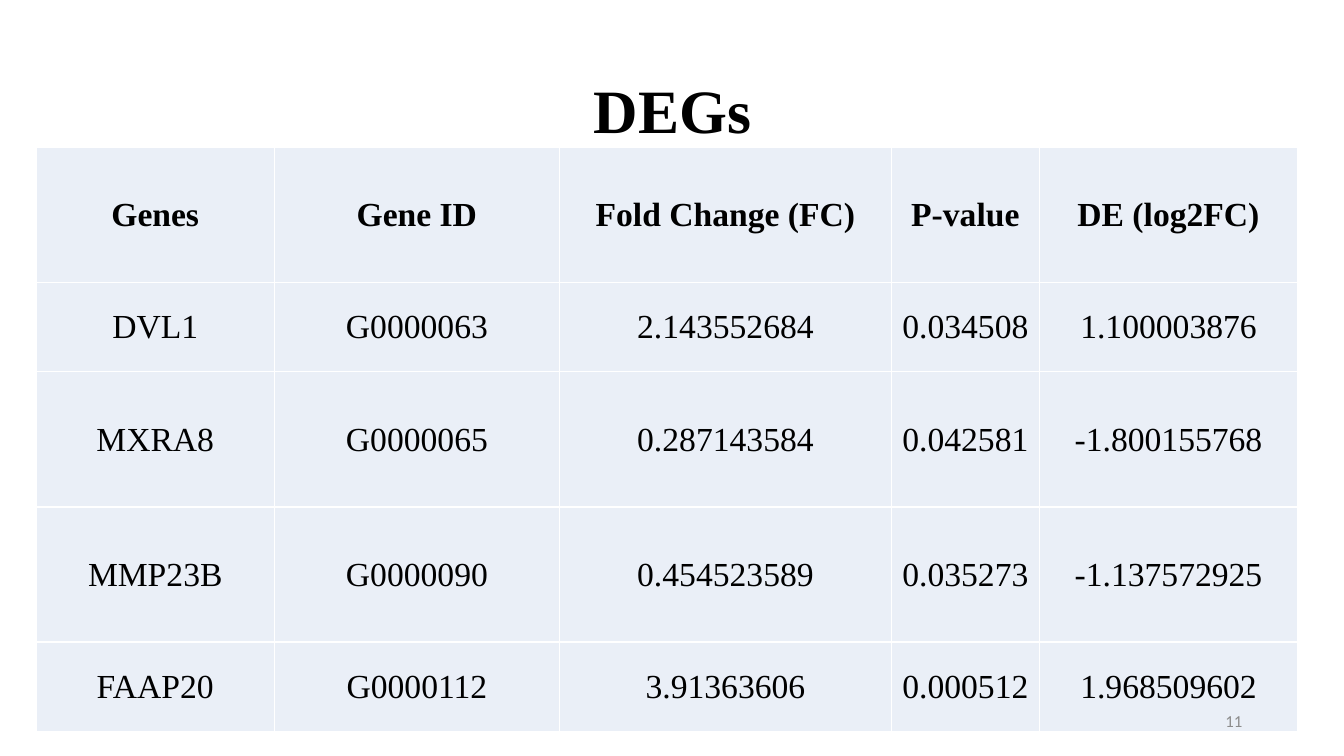
from lxml import etree
from pptx import Presentation
from pptx.dml.color import RGBColor
from pptx.enum.text import MSO_ANCHOR, PP_ALIGN
from pptx.oxml.ns import qn
from pptx.util import Inches, Pt

MIDDLE = MSO_ANCHOR.MIDDLE
CENTER, RIGHT = PP_ALIGN.CENTER, PP_ALIGN.RIGHT
SERIF = "Times New Roman"
CELL_FILL, BORDER = "EAEFF7", "FFFFFF"


def color(value):
    return RGBColor.from_string(value)


def write(frame, text, size, font=SERIF, ink="000000", bold=False, align=CENTER):
    frame.word_wrap = True
    para = frame.paragraphs[0]
    para.alignment = align
    span = para.add_run()
    span.text = text
    span.font.name = font
    span.font.size = Pt(size)
    span.font.bold = bold
    span.font.color.rgb = color(ink)
    return para


deck = Presentation()
deck.slide_width, deck.slide_height = Inches(13.33), Inches(7.5)
page = deck.slides.add_slide(deck.slide_layouts[5])

# Title
title = page.shapes.title
title.left, title.top = Inches(0.92), Inches(0.4)
title.width, title.height = Inches(11.5), Inches(1.45)
title.text_frame.vertical_anchor = MIDDLE
write(title.text_frame, "DEGs", 44, bold=True).line_spacing = 0.9

# Table of differentially expressed genes
genes = [
    ["Genes", "Gene ID", "Fold Change (FC)", "P-value", "DE (log2FC)"],
    ["DVL1", "G0000063", "2.143552684", "0.034508", "1.100003876"],
    ["MXRA8", "G0000065", "0.287143584", "0.042581", "-1.800155768"],
    ["MMP23B", "G0000090", "0.454523589", "0.035273", "-1.137572925"],
    ["FAAP20", "G0000112", "3.91363606", "0.000512", "1.968509602"],
]
column_widths = [2.36, 2.83, 3.29, 1.47, 2.56]
row_heights = [1.34, 0.89, 1.34, 1.34, 0.89]
table = page.shapes.add_table(
    len(row_heights), len(column_widths), Inches(0.36), Inches(1.46),
    Inches(sum(column_widths)), Inches(sum(row_heights))).table
table.horz_banding = False
for column, width in zip(table.columns, column_widths):
    column.width = Inches(width)
for row, height in zip(table.rows, row_heights):
    row.height = Inches(height)

for row_index, values in enumerate(genes):
    for column_index, value in enumerate(values):
        cell = table.cell(row_index, column_index)
        cell.vertical_anchor = MIDDLE
        cell.margin_left = cell.margin_right = cell.margin_top = Inches(0.01)
        cell.margin_bottom = 0
        write(cell.text_frame, value, 24, bold=row_index == 0)
        # Borders come before the fill in the cell properties
        properties = cell._tc.get_or_add_tcPr()
        for side in ("a:lnL", "a:lnR", "a:lnT", "a:lnB"):
            line = etree.SubElement(properties, qn(side), w=str(Pt(1)))
            fill = etree.SubElement(line, qn("a:solidFill"))
            etree.SubElement(fill, qn("a:srgbClr"), val=BORDER)
        cell.fill.solid()
        cell.fill.fore_color.rgb = color(CELL_FILL)

# Page number
number = page.shapes.add_textbox(Inches(9.42), Inches(6.95), Inches(3), Inches(0.4))
number.text_frame.vertical_anchor = MIDDLE
write(number.text_frame, "11", 12, font="Calibri", ink="8C8C8C", align=RIGHT)

deck.save("out.pptx")
